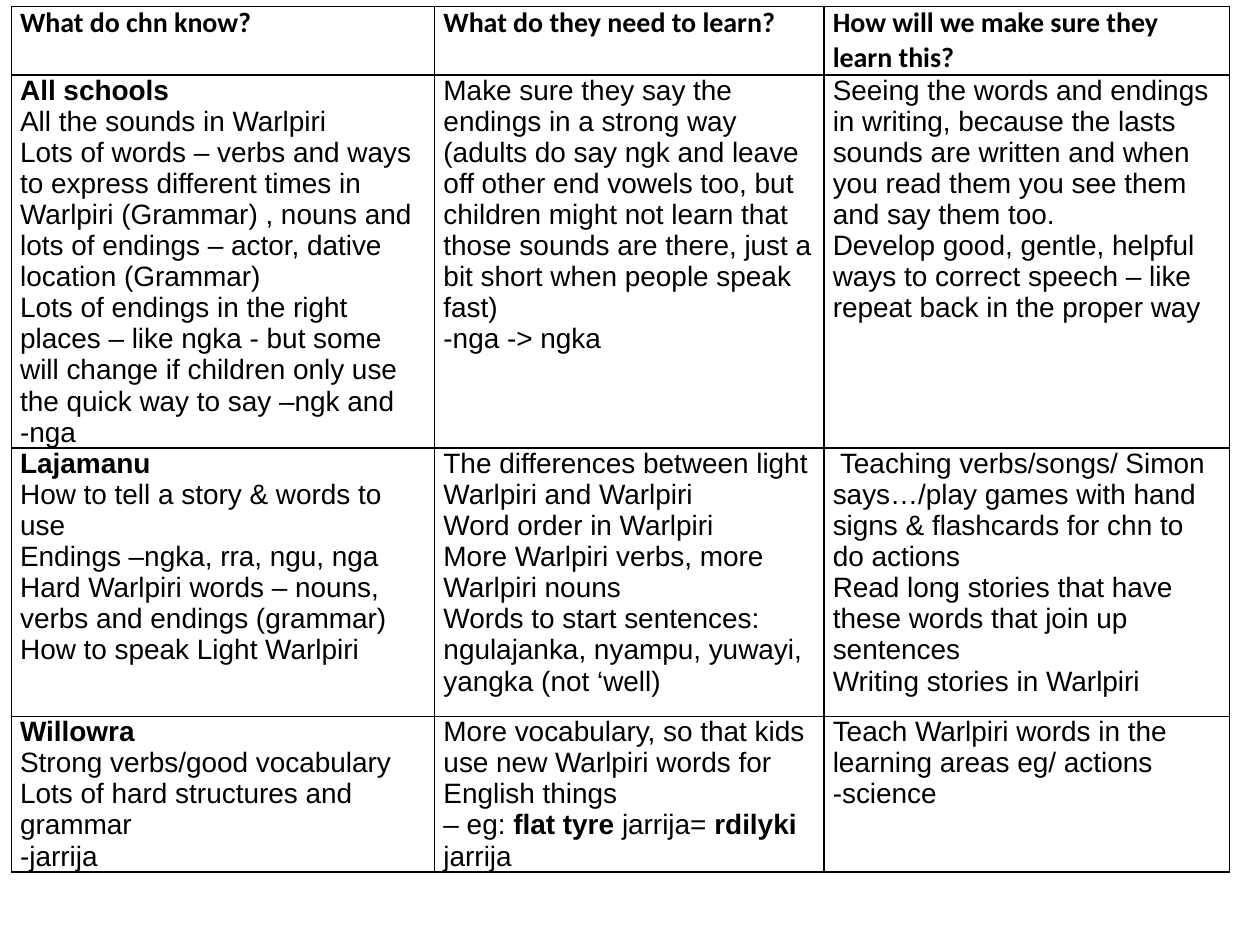
from lxml import etree
from pptx import Presentation
from pptx.dml.color import RGBColor
from pptx.oxml import ns
from pptx.util import Inches, Pt

BLACK = "000000"
COLUMN_WIDTHS = [3.36, 3.09, 3.22]
ROW_HEIGHTS = [0.3, 2.74, 2.13, 1.22]

HEADINGS = [
    "What do chn know?",
    "What do they need to learn?",
    "How will we make sure they learn this?",
]

# One row per school, one list of paragraphs per cell; ** switches bold on and off
SCHOOLS = [
    [
        ["**All schools**",
         "All the sounds in Warlpiri",
         "Lots of words – verbs and ways to express different times in Warlpiri "
         "(Grammar) , nouns and lots of endings – actor, dative location (Grammar)",
         "Lots of endings in the right places – like ngka - but some will change "
         "if children only use the quick way to say –ngk and -nga"],
        ["Make sure they say the endings in a strong way (adults do say ngk and "
         "leave off other end vowels too, but children might not learn that those "
         "sounds are there, just a bit short when people speak fast)",
         "-nga -> ngka"],
        ["Seeing the words and endings in writing, because the lasts sounds are "
         "written and when you read them you see them and say them too.",
         "Develop good, gentle, helpful ways to correct speech – like repeat back "
         "in the proper way"],
    ],
    [
        ["**Lajamanu**",
         "How to tell a story & words to use",
         "Endings –ngka, rra, ngu, nga",
         "Hard Warlpiri words – nouns, verbs and endings (grammar)",
         "How to speak Light Warlpiri"],
        ["The differences between light Warlpiri and Warlpiri",
         "Word order in Warlpiri",
         "More Warlpiri verbs, more Warlpiri nouns",
         "Words to start sentences:",
         "ngulajanka, nyampu, yuwayi, yangka (not ‘well)"],
        [" Teaching verbs/songs/ Simon says…/play games with hand signs & "
         "flashcards for chn to do actions",
         "Read long stories that have these words that join up sentences",
         "Writing stories in Warlpiri"],
    ],
    [
        ["**Willowra**",
         "Strong verbs/good vocabulary",
         "Lots of hard structures and grammar",
         "-jarrija"],
        ["More vocabulary, so that kids use new Warlpiri words for English things",
         "– eg: **flat tyre **jarrija= **rdilyki **jarrija"],
        ["Teach Warlpiri words in the learning areas eg/ actions -science"],
    ],
]


def color(value):
    return RGBColor.from_string(value)


def add_borders(cell):
    """Thin black line on all four sides, placed before the cell's fill."""
    properties = cell._tc.get_or_add_tcPr()
    for index, side in enumerate(("lnL", "lnR", "lnT", "lnB")):
        line = etree.Element(ns.qn("a:" + side), w=str(Pt(1)))
        fill = etree.SubElement(line, ns.qn("a:solidFill"))
        etree.SubElement(fill, ns.qn("a:srgbClr"), val=BLACK)
        properties.insert(index, line)


def fill_cell(cell, paragraphs, font_name):
    cell.margin_left = cell.margin_right = Inches(0.07)
    cell.margin_top = cell.margin_bottom = 0
    cell.fill.background()
    add_borders(cell)
    frame = cell.text_frame
    for index, content in enumerate(paragraphs):
        para = frame.add_paragraph() if index else frame.paragraphs[0]
        for part, words in enumerate(content.split("**")):
            if words:
                span = para.add_run()
                span.text = words
                span.font.name = font_name
                span.font.size = Pt(16)
                span.font.bold = part % 2 == 1
                span.font.color.rgb = color(BLACK)


def add_learning_table(page, left, top, width, height):
    frame = page.shapes.add_table(
        len(ROW_HEIGHTS), len(COLUMN_WIDTHS),
        Inches(left), Inches(top), Inches(width), Inches(height))
    table = frame.table
    table.first_row = table.horz_banding = False
    for column, size in zip(table.columns, COLUMN_WIDTHS):
        column.width = Inches(size)
    for row, size in zip(table.rows, ROW_HEIGHTS):
        row.height = Inches(size)

    # Heading row
    for column, heading in enumerate(HEADINGS):
        fill_cell(table.cell(0, column), [f"**{heading}**"], "Calibri")

    # School rows
    for row, school in enumerate(SCHOOLS, start=1):
        for column, paragraphs in enumerate(school):
            fill_cell(table.cell(row, column), paragraphs, "Arial")


def main():
    deck = Presentation()
    deck.slide_width, deck.slide_height = Inches(10), Inches(7.5)
    page = deck.slides.add_slide(deck.slide_layouts[6])
    add_learning_table(page, 0.09, 0.05, sum(COLUMN_WIDTHS), sum(ROW_HEIGHTS))
    deck.save("out.pptx")


if __name__ == "__main__":
    main()
